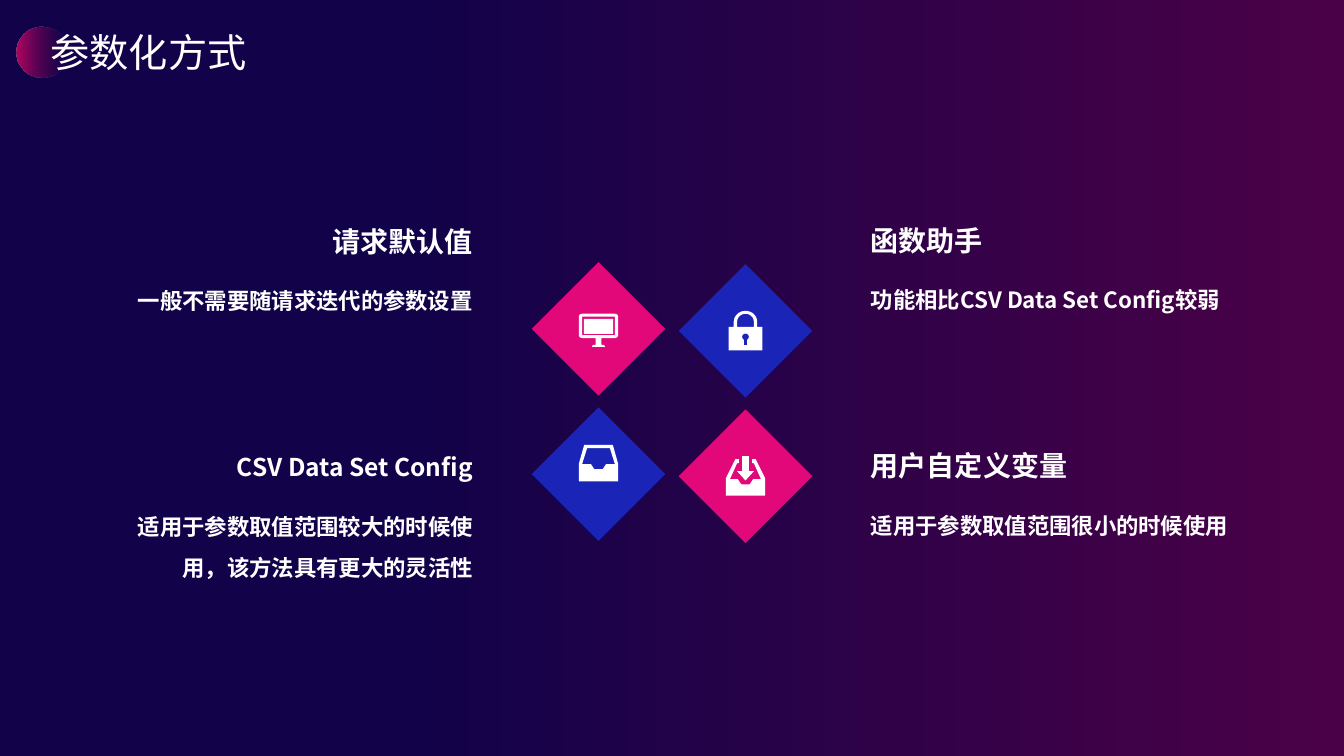
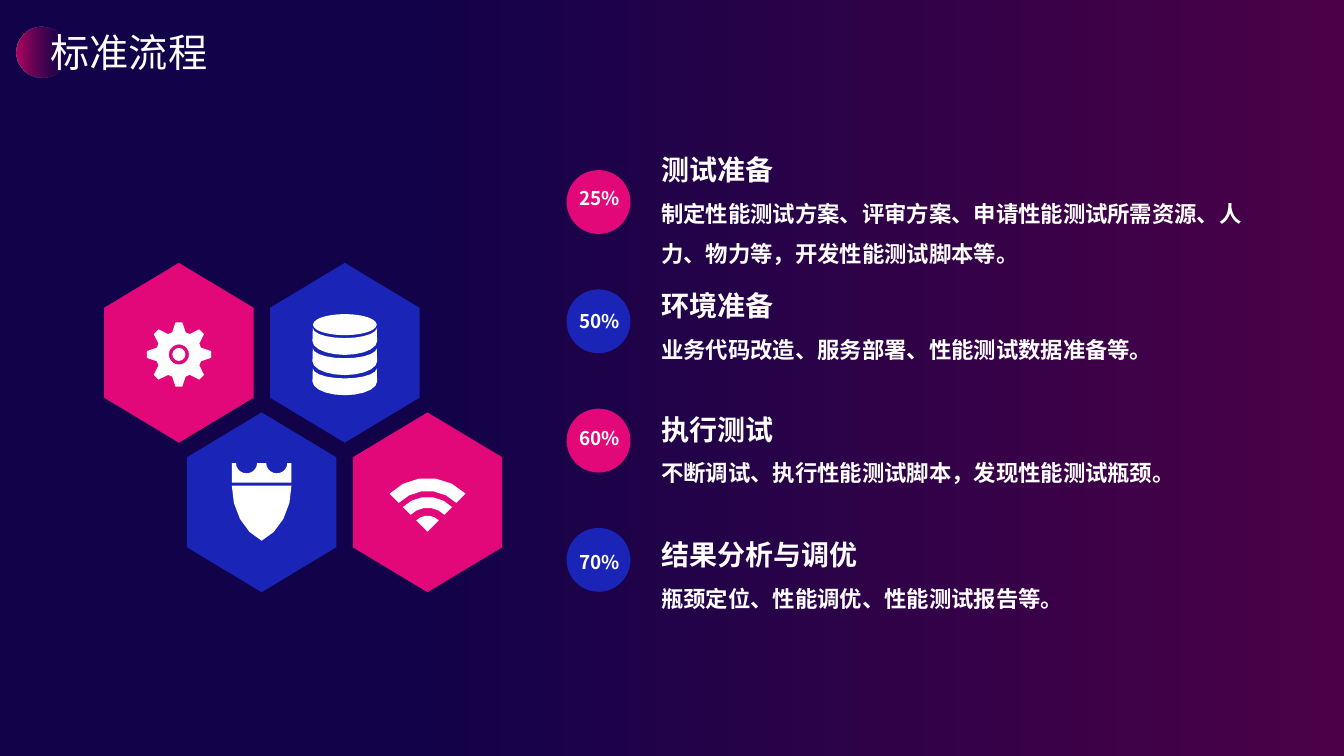
import math

import lxml.etree
import pptx
import pptx.dml.color
import pptx.enum.shapes
import pptx.enum.text
import pptx.oxml.ns
import pptx.util

CELL = 12192000 // 32
FONT = "Noto Sans CJK SC"
WHITE, PINK, BLUE = "FFFFFF", "E2087A", "1A25B8"
BACKGROUND = (("120249", 0.3), ("4B0147", 1))
BADGE = (("B30660", 0), ("570152", 1))
SHAPE = pptx.enum.shapes.MSO_SHAPE
ALIGN = pptx.enum.text.PP_ALIGN
ANCHOR = pptx.enum.text.MSO_ANCHOR


def grid(*cells):
    return [pptx.util.Emu(round(c * CELL)) for c in cells]


def rgb(value):
    return pptx.dml.color.RGBColor.from_string(value)


def checker(row, col):
    return PINK if row == col else BLUE


def paint(sp, colour):
    sp.shadow.inherit = False
    sp.line.fill.background()
    sp.fill.solid()
    sp.fill.fore_color.rgb = rgb(colour)


def gradient(fill, stops):
    fill.gradient()
    fill.gradient_angle = 0
    for stop, (colour, position) in zip(fill.gradient_stops, stops):
        stop.color.rgb = rgb(colour)
        stop.position = position


def shape(s, kind, cx, cy, w, h, colour=WHITE):
    sp = s.shapes.add_shape(kind, *grid(cx - w / 2, cy - h / 2, w, h))
    paint(sp, colour)
    return sp


def text(s, x, y, w, h, paragraphs, align=ALIGN.LEFT, anchor=ANCHOR.TOP,
         spacing=1, bold=True, inset=None):
    sp = s.shapes.add_textbox(*grid(x, y, w, h))
    tf = sp.text_frame
    tf.word_wrap = True
    tf.vertical_anchor = anchor
    if inset:
        tf.margin_left = tf.margin_right = pptx.util.Inches(inset[0])
        tf.margin_top = tf.margin_bottom = pptx.util.Inches(inset[1])
    for i, (words, size) in enumerate(paragraphs):
        p = tf.add_paragraph() if i else tf.paragraphs[0]
        p.alignment = align
        p.line_spacing = spacing
        r = p.add_run()
        r.text = words
        r.font.size = pptx.util.Pt(size)
        r.font.bold = bold
        r.font.name = FONT
        r.font.color.rgb = rgb(WHITE)
        ea = lxml.etree.SubElement(r._r.get_or_add_rPr(), pptx.oxml.ns.qn("a:ea"))
        ea.set("typeface", FONT)


def arc(cx, cy, rx, ry, start, end):
    steps = max(2, round(abs(end - start) / 18))
    angles = [math.radians(start + (end - start) * i / steps) for i in range(steps + 1)]
    return [(cx + rx * math.cos(a), cy + ry * math.sin(a)) for a in angles]


def mirror(right):
    left = [(-x, y) for x, y in reversed(right) if abs(x) > 0.001]
    return right + left


def outline(s, cx, cy, *contours, colour=WHITE):
    placed = [[grid(cx + x, cy + y) for x, y in points] for points in contours]
    builder = s.shapes.build_freeform(*placed[0][0])
    for i, points in enumerate(placed):
        if i:
            builder.move_to(*points[0])
        builder.add_line_segments(points[1:], close=True)
    paint(builder.convert_to_shape(), colour)


def monitor(s, cx, cy):
    case = arc(0.39, -0.28, 0.08, 0.08, 270, 360) + arc(0.39, 0.14, 0.08, 0.08, 0, 90)
    stand = [(0.07, 0.22), (0.07, 0.38), (0.13, 0.38), (0.16, 0.43)]
    shape(s, SHAPE.RECTANGLE, cx, cy - 0.06, 0.7, 0.36)
    outline(s, cx, cy, mirror(case + stand), mirror([(0.39, -0.29), (0.39, 0.15)]))


def padlock(s, cx, cy):
    shackle = arc(0, -0.22, 0.28, 0.26, 270, 360)
    outline(s, cx, cy,
            mirror(shackle + [(0.28, -0.1), (0.4, -0.1), (0.4, 0.46)]),
            mirror(arc(0, -0.22, 0.2, 0.19, 270, 360) + [(0.2, -0.1)]),
            mirror(arc(0, 0.14, 0.08, 0.08, 270, 420) + [(0.04, 0.34)]))


def tray(s, cx, cy):
    outline(s, cx, cy,
            mirror([(0.34, -0.7), (0.47, -0.24), (0.47, 0.17)]),
            mirror([(0.27, -0.62), (0.39, -0.24), (0.18, -0.24), (0.1, -0.12)]))


def download(s, cx, cy):
    arrow = [(0.08, -0.48), (0.08, -0.12), (0.2, -0.12), (0, 0.1)]
    box = [(0.1, 0.19), (0.18, 0.07), (0.37, 0.07), (0.2, -0.31), (0.16, -0.31),
           (0.16, -0.41), (0.24, -0.41), (0.47, 0.05), (0.47, 0.46)]
    for part in (arrow, box):
        outline(s, cx, cy, mirror(part))


def gear(s, cx, cy):
    tooth = ((0.55, -17), (0.77, -6), (0.77, 6), (0.55, 17))
    rim = [(r * math.cos(a), r * math.sin(a))
           for k in range(8) for r, turn in tooth
           for a in [math.radians(45 * k + turn)]]
    cy += 0.04
    outline(s, cx, cy, rim, arc(0, 0, 0.24, 0.24, 0, 360))
    shape(s, SHAPE.OVAL, cx, cy, 0.31, 0.31)


def database(s, cx, cy):
    band = arc(0, 0, 0.76, 0.24, 90, 0) + arc(0, 0.31, 0.77, 0.33, 0, 90)
    for k in range(3):
        outline(s, cx, cy - 0.59 + 0.48 * k, mirror(band))
    shape(s, SHAPE.OVAL, cx, cy - 0.67, 1.52, 0.5)


def shield(s, cx, cy):
    crown = arc(0.36, -0.93, 0.25, 0.24, 180, 0) + [(0.71, -0.93), (0.71, -0.47)]
    body = arc(-0.4, -0.4, 1.11, 1.41, 0, 69)
    for part in (body, crown):
        outline(s, cx, cy, mirror(part))


def wifi(s, cx, cy):
    outline(s, cx, cy, arc(0, 0.7, 0.38, 0.38, 225, 315) + [(0, 0.7)])
    for outer, inner in ((0.83, 0.57), (1.28, 0.97)):
        outline(s, cx, cy, arc(0, 0.7, outer, outer, 225, 315)
                + arc(0, 0.7, inner, inner, 315, 225))


def new_slide(prs, title):
    s = prs.slides.add_slide(prs.slide_layouts[6])
    badge = shape(s, SHAPE.OVAL, 1, 1.24, 1.21, 1.21, PINK)
    gradient(badge.fill, BADGE)
    colours = badge._element.spPr.findall(".//" + pptx.oxml.ns.qn("a:srgbClr"))
    lxml.etree.SubElement(colours[-1], pptx.oxml.ns.qn("a:alpha")).set("val", "0")
    text(s, 0.97, 0.55, 6.31, 1.37, [(title, 28)], bold=False)
    return s


def diamond(s, cx, cy, colour):
    shape(s, SHAPE.RECTANGLE, cx, cy, 2.25, 2.25, colour).rotation = 45


def hexagon(s, cx, cy, colour):
    half = [(0, -2.14), (1.78, -1.07), (1.78, 1.07), (0, 2.14)]
    outline(s, cx, cy, mirror(half), colour=colour)


def icon_tiles(s, tile, place, icons):
    cells = [divmod(i, 2) for i in range(len(icons))]
    for row, col in cells:
        tile(s, *place(row, col), checker(row, col))
    for cell, icon in zip(cells, icons):
        icon(s, *place(*cell))


def diamond_place(row, col):
    return 14.25 + 3.5 * col, 7.83 + 3.46 * row + 0.05 * col


def hexagon_place(row, col):
    return 4.26 + 3.95 * col + 1.97 * row, 8.4 + 3.56 * row


def method(s, row, col, heading, size, body):
    align = ALIGN.LEFT if col else ALIGN.RIGHT
    head_w, body_w = 6.86, 9.5 if col else 8.6
    y = (5.04 if col else 5.07) + 5.38 * row
    text(s, 20.5 if col else 11.5 - body_w, y + 1.34, body_w, 2.66, [(body, 16)],
         align, spacing=1.5)
    text(s, 20.5 if col else 11.5 - head_w, y, head_w, 1.34, [(heading, size)],
         align, ANCHOR.MIDDLE)


def percent(s, i, label, y):
    shape(s, SHAPE.OVAL, 14.25, 4.81 + 2.84 * i, 1.52, 1.52, checker(0, i % 2))
    text(s, 13.53, y, 1.49, 0.72, [(label, 13.5)], ALIGN.CENTER, inset=(0.07, 0.04))


def main():
    prs = pptx.Presentation()
    prs.slide_width, prs.slide_height = grid(32, 18)
    gradient(prs.slide_master.background.fill, BACKGROUND)

    s = new_slide(prs, "参数化方式")
    icon_tiles(s, diamond, diamond_place, (monitor, padlock, tray, download))
    method(s, 0, 0, "请求默认值", 20, "一般不需要随请求迭代的参数设置")
    method(s, 1, 0, "CSV Data Set Config", 17.5,
           "适用于参数取值范围较大的时候使用，该方法具有更大的灵活性")
    method(s, 0, 1, "函数助手", 20, "功能相比CSV Data Set Config较弱")
    method(s, 1, 1, "用户自定义变量", 20, "适用于参数取值范围很小的时候使用")

    s = new_slide(prs, "标准流程")
    labels = (("25%", 4.35), ("50%", 7.28), ("60%", 10.06), ("70%", 13.02))
    for i, (label, y) in enumerate(labels):
        percent(s, i, label, y)
    icon_tiles(s, hexagon, hexagon_place, (gear, database, shield, wifi))
    steps = (
        (3.12, 3.38, "测试准备",
         "制定性能测试方案、评审方案、申请性能测试所需资源、人力、物力等，开发性能测试脚本等。"),
        (6.36, 2.42, "环境准备", "业务代码改造、服务部署、性能测试数据准备等。"),
        (9.3, 2.42, "执行测试", "不断调试、执行性能测试脚本，发现性能测试瓶颈。"),
        (12.29, 2.42, "结果分析与调优", "瓶颈定位、性能调优、性能测试报告等。"),
    )
    for y, h, heading, body in steps:
        text(s, 15.51, y, 14.42, h, [(heading, 20), (body, 16)], spacing=1.5)

    prs.save("out.pptx")


if __name__ == "__main__":
    main()
